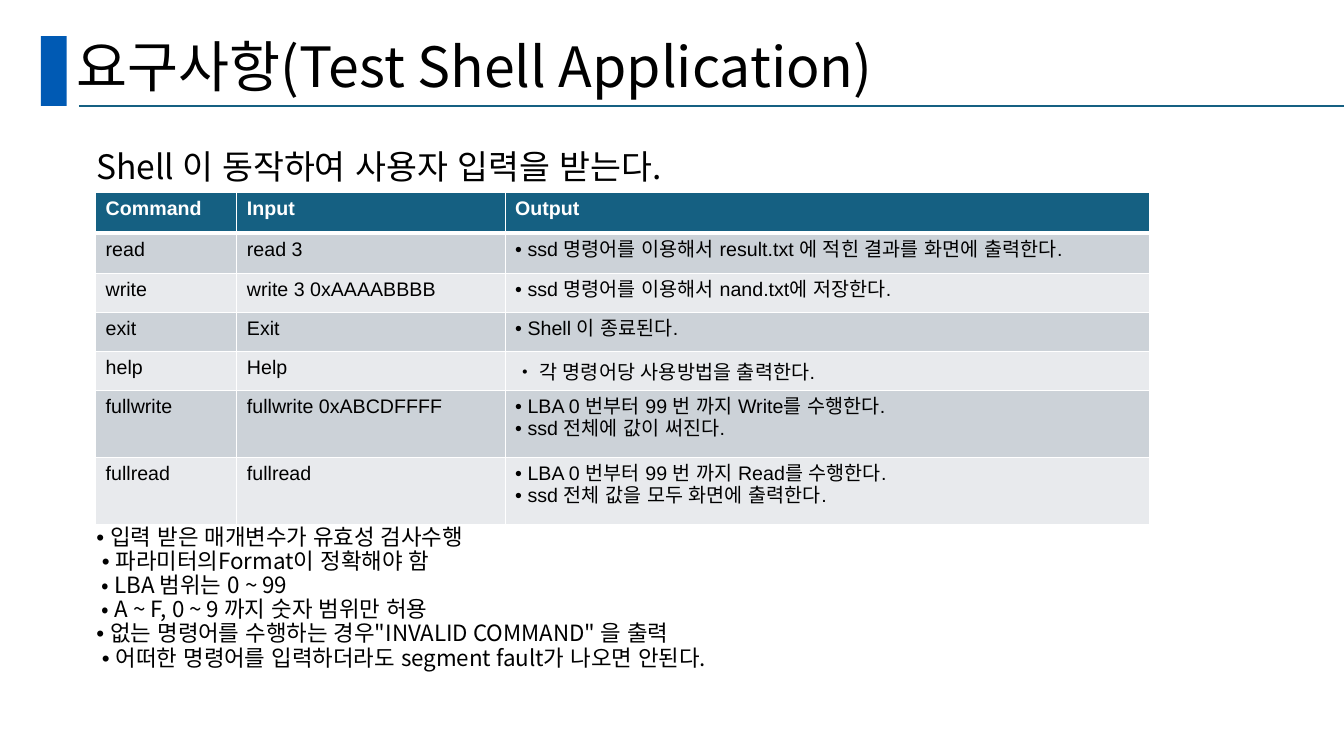
import pptx
import pptx.dml.color
import pptx.enum.shapes
import pptx.enum.text
import pptx.oxml
import pptx.oxml.ns
import pptx.util
from pptx.util import Cm

KOREAN, LATIN = "Noto Sans CJK KR", "Arial"
TEAL, BLUE, WHITE, BLACK = "156082", "005AB4", "FFFFFF", "000000"
BANDS = ["CCD2D8", "E8EAED"]
BULLET = "• "
COLUMN_WIDTHS = [3.56, 6.76, 16.23]
COMMANDS = [
    (1.02, "Command", "Input", ["Output"]),
    (1.02, "read", "read 3", ["• ssd 명령어를 이용해서 result.txt 에 적힌 결과를 화면에 출력한다."]),
    (0.98, "write", "write 3 0xAAAABBBB", ["• ssd 명령어를 이용해서 nand.txt에 저장한다."]),
    (0.98, "exit", "Exit", ["• Shell 이 종료된다."]),
    (0.98, "help", "Help", ["• 각 명령어당 사용방법을 출력한다."]),
    (1.69, "fullwrite", "fullwrite 0xABCDFFFF",
     ["• LBA 0 번부터 99 번 까지 Write를 수행한다.", "• ssd 전체에 값이 써진다."]),
    (1.69, "fullread", "fullread",
     ["• LBA 0 번부터 99 번 까지 Read를 수행한다.", "• ssd 전체 값을 모두 화면에 출력한다."]),
]
NOTES = [
    (0, "• 입력 받은 매개변수가 유효성 검사수행"),
    (1, "• 파라미터의Format이 정확해야 함"),
    (1, "• LBA 범위는 0 ~ 99"),
    (1, "• A ~ F, 0 ~ 9 까지 숫자 범위만 허용"),
    (0, "• 없는 명령어를 수행하는 경우\"INVALID COMMAND\" 을 출력"),
    (1, "• 어떠한 명령어를 입력하더라도 segment fault가 나오면 안된다."),
]


def color(value):
    """Turn a hex string into a colour."""
    return pptx.dml.color.RGBColor.from_string(value)


def add_span(para, text, size, east=LATIN, font=KOREAN, fill=BLACK, bold=False):
    """Add one formatted run with its Latin and East Asian faces."""
    span = para.add_run()
    span.text = text
    span.font.size = pptx.util.Pt(size)
    span.font.name = font
    span.font.bold = bold
    span.font.color.rgb = color(fill)
    east_asian = pptx.oxml.parse_xml(
        f'<a:ea {pptx.oxml.ns.nsdecls("a")} typeface="{east}"/>')
    span.font._element.find(pptx.oxml.ns.qn("a:latin")).addnext(east_asian)


def add_lines(frame, lines, size, bullet_face=LATIN, **style):
    """Write each text line as a paragraph, its bullet in a run of its own."""
    for index, text in enumerate(lines):
        para = frame.add_paragraph() if index else frame.paragraphs[0]
        if text.startswith(BULLET):
            add_span(para, BULLET, size, **{**style, "east": bullet_face})
        add_span(para, text.removeprefix(BULLET), size, **style)


def add_header(page, left, top, width, height):
    """Place the accent bar, the underline and the title."""
    bar = page.shapes.add_shape(
        pptx.enum.shapes.MSO_SHAPE.RECTANGLE, Cm(left), Cm(top), Cm(0.65), Cm(height))
    bar.shadow.inherit = False
    bar.fill.solid()
    bar.fill.fore_color.rgb = color(BLUE)
    bar.line.fill.background()

    bottom = top + height
    rule = page.shapes.add_connector(
        pptx.enum.shapes.MSO_CONNECTOR.STRAIGHT,
        Cm(left + 0.96), Cm(bottom), Cm(left + width), Cm(bottom))
    rule.line.color.rgb = color(TEAL)
    rule.line.width = pptx.util.Pt(1.5)
    rule._element.spPr.append(
        pptx.oxml.parse_xml(f'<a:effectLst {pptx.oxml.ns.nsdecls("a")}/>'))

    title = page.shapes.title
    title.left, title.top = Cm(left + 0.65), Cm(top - 0.05)
    title.width, title.height = Cm(29.21), Cm(height)
    frame = title.text_frame
    frame.auto_size = pptx.enum.text.MSO_AUTO_SIZE.NONE
    frame.vertical_anchor = pptx.enum.text.MSO_ANCHOR.MIDDLE
    add_lines(frame, ["요구사항(Test Shell Application)"], 39.6, east=KOREAN)
    frame.paragraphs[0].alignment = pptx.enum.text.PP_ALIGN.LEFT
    frame.paragraphs[0].line_spacing = 0.9


def add_text(page, left, top, width, height, items, size):
    """Place a text box of (level, text) lines."""
    box = page.shapes.add_textbox(Cm(left), Cm(top), Cm(width), Cm(height))
    frame = box.text_frame
    frame.word_wrap = True
    add_lines(frame, [text for level, text in items], size)
    for para, (level, text) in zip(frame.paragraphs, items):
        para.line_spacing = 0.9
        para._p.get_or_add_pPr().set("marL", str(Cm(0.5 + 0.14 * level)))


def set_borders(cell, bottom_width):
    """Draw white borders on the four sides of a cell."""
    properties = cell._tc.get_or_add_tcPr()
    for index, (side, width) in enumerate(
            [("lnL", 1), ("lnR", 1), ("lnT", 1), ("lnB", bottom_width)]):
        properties.insert(index, pptx.oxml.parse_xml(
            f'<a:{side} {pptx.oxml.ns.nsdecls("a")} w="{pptx.util.Pt(width)}">'
            f'<a:solidFill><a:srgbClr val="{WHITE}"/></a:solidFill></a:{side}>'))


def add_commands(page, left, top):
    """Place the table of shell commands."""
    heights = [row[0] for row in COMMANDS]
    table = page.shapes.add_table(
        len(COMMANDS), len(COLUMN_WIDTHS), Cm(left), Cm(top),
        Cm(sum(COLUMN_WIDTHS)), Cm(sum(heights))).table
    for column, width in zip(table.columns, COLUMN_WIDTHS):
        column.width = Cm(width)
    for index, (height, command, entry, output) in enumerate(COMMANDS):
        heading = index == 0
        table.rows[index].height = Cm(height)
        for cell, lines in zip(table.rows[index].cells, ([command], [entry], output)):
            cell.fill.solid()
            cell.fill.fore_color.rgb = color(TEAL if heading else BANDS[(index - 1) % 2])
            set_borders(cell, 3 if heading else 1)
            add_lines(cell.text_frame, lines, 14, bullet_face=KOREAN, font=LATIN,
                      fill=WHITE if heading else BLACK, bold=heading)


def main():
    """Build the requirements slide."""
    deck = pptx.Presentation()
    deck.slide_width, deck.slide_height = Cm(33.87), Cm(19.05)
    page = deck.slides.add_slide(deck.slide_layouts[5])
    add_header(page, 1.03, 0.91, 32.84, 1.76)
    add_text(page, 1.68, 3.66, 29.21, 1.2, [(0, "Shell 이 동작하여 사용자 입력을 받는다.")], 24)
    add_commands(page, 2.41, 4.86)
    add_text(page, 1.68, 13.13, 29.21, 4, NOTES, 16)
    deck.save("out.pptx")


if __name__ == "__main__":
    main()
